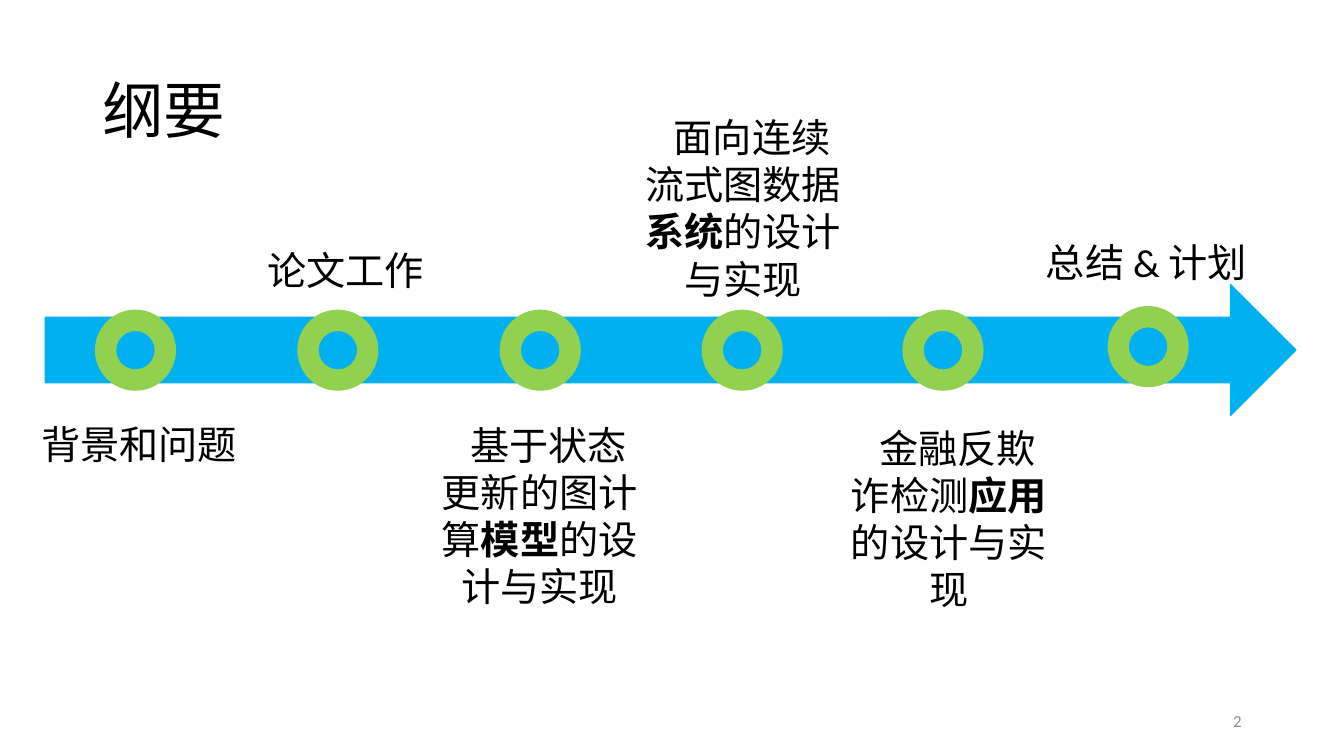
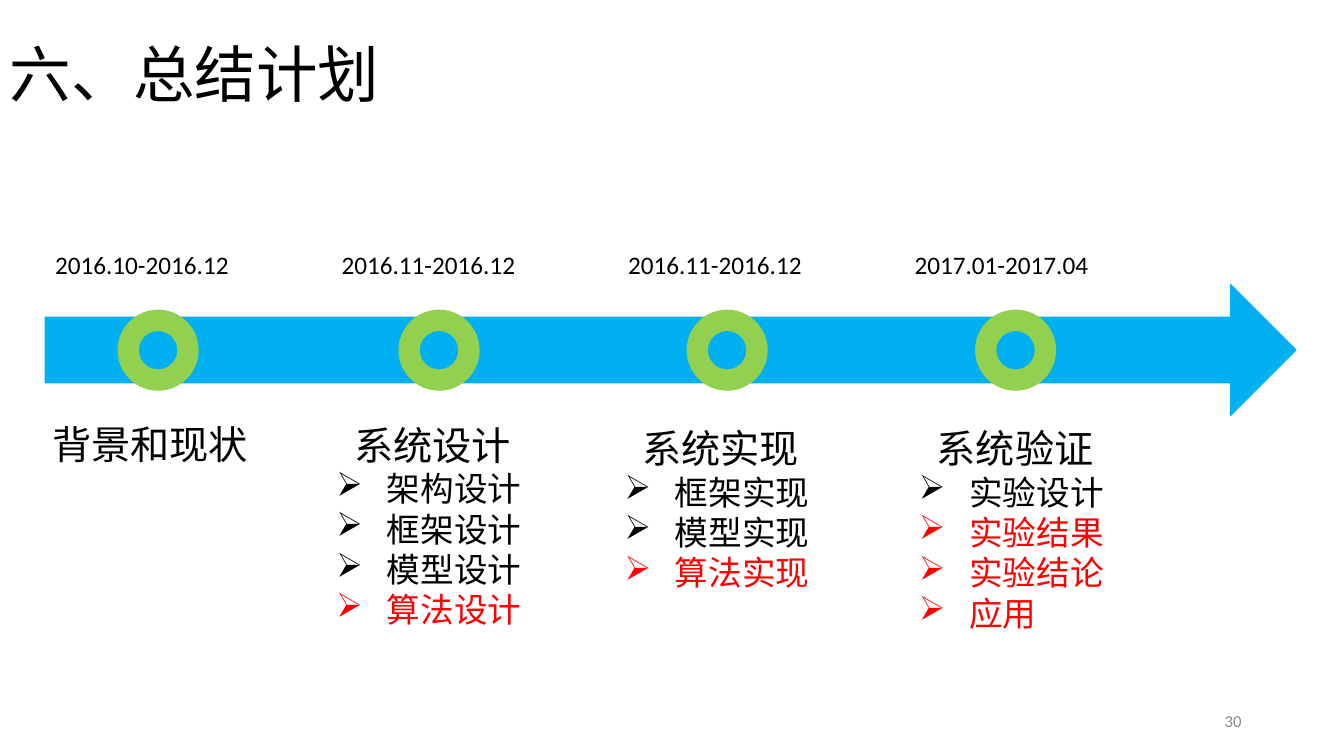
from lxml.etree import SubElement
from pptx import Presentation
from pptx.dml.color import RGBColor
from pptx.enum.shapes import MSO_SHAPE as Shape
from pptx.enum.text import MSO_ANCHOR as Anchor, MSO_AUTO_SIZE as AutoSize, PP_ALIGN as Align
from pptx.oxml.ns import qn
from pptx.util import Cm, Pt

BLACK = RGBColor(0x00, 0x00, 0x00)
GRAY = RGBColor(0x8C, 0x8C, 0x8C)
RED = RGBColor(0xFF, 0x00, 0x00)
BLUE = RGBColor(0x00, 0xB0, 0xF0)
GREEN = RGBColor(0x92, 0xD0, 0x50)

FONT = "Calibri"
LABEL_WIDTH = 5.66
LABEL_INDENT = 0.45
BULLET_INDENT = 1.27
RING_SIZE = 2.01
RING_TOP = 7.82


class Deck:
    """Shared style and the slide being drawn; lengths are in centimetres."""

    def __init__(self):
        self.presentation = Presentation()
        self.presentation.slide_width = Cm(33.87)
        self.presentation.slide_height = Cm(19.05)
        self.slide = None

    def add_slide(self, title, number, title_box):
        """Start a slide with its title, page number and timeline arrow."""
        self.slide = self.presentation.slides.add_slide(self.presentation.slide_layouts[6])
        frame = self.text_frame(*title_box, anchor=Anchor.MIDDLE)
        self.fill_text(frame.paragraphs[0], title, 44).line_spacing = 0.9
        frame = self.text_frame(23.92, 17.66, 7.62, 1.01, anchor=Anchor.MIDDLE)
        self.fill_text(frame.paragraphs[0], number, 12, GRAY, Align.RIGHT)
        self.preset(Shape.RIGHT_ARROW, 1.14, 7.17, 31.52, 3.3, BLUE)

    def preset(self, kind, left, top, width, height, color):
        shape = self.slide.shapes.add_shape(kind, Cm(left), Cm(top), Cm(width), Cm(height))
        shape.shadow.inherit = False
        shape.fill.solid()
        shape.fill.fore_color.rgb = color
        shape.line.color.rgb = color
        shape.line.width = Pt(1)

    def ring(self, left, top=RING_TOP):
        self.preset(Shape.DONUT, left, top, RING_SIZE, RING_SIZE, GREEN)

    def text_frame(self, left, top, width, height, anchor=Anchor.TOP):
        box = self.slide.shapes.add_textbox(Cm(left), Cm(top), Cm(width), Cm(height))
        frame = box.text_frame
        frame.word_wrap = True
        frame.vertical_anchor = anchor
        if anchor == Anchor.TOP:
            frame.auto_size = AutoSize.SHAPE_TO_FIT_TEXT
        return frame

    def fill_text(self, paragraph, text, size, color=BLACK, align=Align.LEFT):
        """Fill a paragraph; parts between asterisks are bold."""
        for index, part in enumerate(text.split("*")):
            run = paragraph.add_run()
            run.text = part
            if index % 2:
                run.font.bold = True
        paragraph.alignment = align
        paragraph.font.name = FONT
        paragraph.font.size = Pt(size)
        paragraph.font.color.rgb = color
        return paragraph

    def indent(self, paragraph, first_line, left=0):
        properties = paragraph._p.get_or_add_pPr()
        properties.set("marL", str(Cm(left)))
        properties.set("indent", str(Cm(first_line)))
        return properties

    def label(self, text, left, top, size=28, width=LABEL_WIDTH, height=1.45,
              align=Align.LEFT, first_line=0):
        frame = self.text_frame(left, top, width, height)
        paragraph = self.fill_text(frame.paragraphs[0], text, size, align=align)
        self.indent(paragraph, first_line)
        return frame

    def bullet(self, frame, text, color):
        paragraph = frame.add_paragraph()
        properties = self.indent(paragraph, -BULLET_INDENT, BULLET_INDENT)
        SubElement(properties, qn("a:buChar"), char="➢")
        self.fill_text(paragraph, text, 24, color)


def outline_slide(deck):
    deck.add_slide("纲要", "2", (2.33, 1.01, 29.21, 3.68))

    # Milestones
    for left in (2.41, 7.51, 12.61, 17.7, 22.76):
        deck.ring(left)
    deck.ring(27.93, 7.73)

    # Short labels
    deck.label("背景和问题", 0.79, 10.46)
    deck.label("论文工作", 6.48, 6.07)
    deck.label("总结 & 计划", 26.11, 5.89, width=6.45)

    # Wrapped labels
    for text, left, top in (
        ("基于状态更新的图计算*模型*的设计与实现", 10.77, 10.49),
        ("面向连续流式图数据*系统*的设计与实现", 15.9, 2.74),
        ("金融反欺诈检测*应用*的设计与实现", 21.08, 10.57),
    ):
        deck.label(text, left, top, height=5.05, align=Align.CENTER, first_line=LABEL_INDENT)


def plan_slide(deck):
    deck.add_slide("六、总结计划", "30", (0, 0, 26.14, 3.89))

    # Stages: ring left, label left and top, heading, period, finished and open tasks
    stages = (
        (2.98, 1.07, 10.46, "背景和现状", "2016.10-2016.12", (), ()),
        (10.06, 8.23, 10.49, "系统设计", "2016.11-2016.12",
         ("架构设计", "框架设计", "模型设计"), ("算法设计",)),
        (17.32, 15.49, 10.57, "系统实现", "2016.11-2016.12",
         ("框架实现", "模型实现"), ("算法实现",)),
        (24.59, 22.91, 10.57, "系统验证", "2017.01-2017.04",
         ("实验设计",), ("实验结果", "实验结论", "应用")),
    )
    for index, (ring_left, left, top, heading, period, finished, unfinished) in enumerate(stages):
        deck.ring(ring_left)
        deck.label(period, 1.14 + 7.22 * index, 6.15, size=18, width=5.54, height=1.02)
        tasks = [(task, BLACK) for task in finished] + [(task, RED) for task in unfinished]
        frame = deck.label(heading, left, top, height=5.56 if tasks else 1.45,
                           first_line=LABEL_INDENT if tasks else 0)
        for task, color in tasks:
            deck.bullet(frame, task, color)


def main():
    deck = Deck()
    outline_slide(deck)
    plan_slide(deck)
    deck.presentation.save("out.pptx")


if __name__ == "__main__":
    main()
